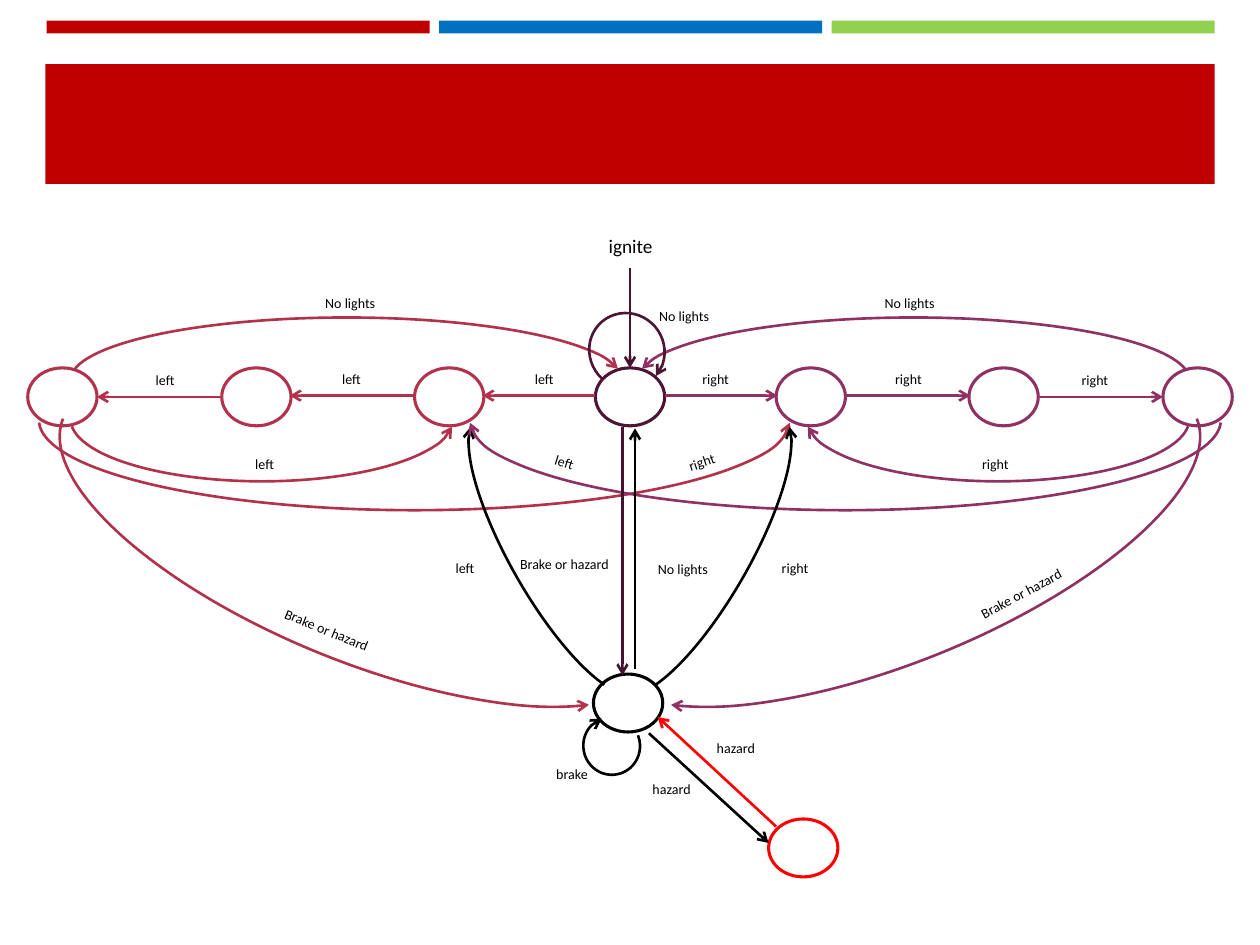
from lxml import etree
from pptx import Presentation
from pptx import util as u
from pptx.dml.color import RGBColor
from pptx.enum import shapes, text
from pptx.oxml.ns import qn

BLACK = RGBColor(0x00, 0x00, 0x00)
WHITE = RGBColor(0xFF, 0xFF, 0xFF)
RED = RGBColor(0xFF, 0x00, 0x00)
BAND_RED = RGBColor(0xC0, 0x00, 0x00)
BAND_BLUE = RGBColor(0x00, 0x70, 0xC0)
BAND_GREEN = RGBColor(0x92, 0xD0, 0x50)
CRIMSON = RGBColor(0xB2, 0x32, 0x4B)
PURPLE = RGBColor(0x90, 0x31, 0x63)
PLUM = RGBColor(0x4D, 0x14, 0x34)
DARK_PLUM = RGBColor(0x45, 0x12, 0x2F)

WIDTH, HEIGHT = 10, 7.5
NODE_W, NODE_H = 0.55, 0.46
LABEL_W, LABEL_H = 0.98, 0.34


def write_text(tf, words, size=8, color=BLACK, font="Calibri"):
    tf.word_wrap = True
    p = tf.paragraphs[0]
    p.alignment = text.PP_ALIGN.CENTER
    p.line_spacing = 1.15
    p.space_after = u.Pt(10)
    r = p.add_run()
    r.text = words
    r.font.size = u.Pt(size)
    r.font.name = font
    r.font.color.rgb = color


class Diagram:
    """State diagram elements on the current slide."""
    node_line, edge_line = 1.75, 1.5

    def __init__(self, slide):
        self.shapes = slide.shapes

    def shape(self, kind, x, y, w, h, fill=None, line=None, weight=1.5):
        sp = self.shapes.add_shape(kind, *map(u.Inches, (x, y, w, h)))
        sp.shadow.inherit = False
        if fill is None:
            sp.fill.background()
        else:
            sp.fill.solid()
            sp.fill.fore_color.rgb = fill
        if line is None:
            sp.line.fill.background()
        else:
            sp.line.color.rgb = line
            sp.line.width = u.Pt(weight)
        return sp

    def band(self, x, y, w, h, color):
        self.shape(shapes.MSO_SHAPE.RECTANGLE, x, y, w, h, fill=color)

    def node(self, x, y, color):
        self.shape(shapes.MSO_SHAPE.OVAL, x, y, NODE_W, NODE_H,
                   fill=WHITE, line=color, weight=self.node_line)

    def arrowhead(self, sp):
        ln = sp.line._get_or_add_ln()
        etree.SubElement(ln, qn("a:tailEnd")).set("type", "arrow")

    def arrow(self, x1, y1, x2, y2, color):
        cx = self.shapes.add_connector(
            shapes.MSO_CONNECTOR.STRAIGHT, *map(u.Inches, (x1, y1, x2, y2)))
        cx.line.color.rgb = color
        cx.line.width = u.Pt(self.edge_line)
        self.arrowhead(cx)
        etree.SubElement(cx._element.spPr, qn("a:effectLst"))

    def arc(self, x, y, w, h, start, end, color, rot=0, flip=""):
        """Draw an arc with an arrowhead; start and end are in degrees."""
        sp = self.shape(shapes.MSO_SHAPE.ARC, x, y, w, h, line=color,
                        weight=self.edge_line)
        sp.adjustments[0] = start * 0.6
        sp.adjustments[1] = end * 0.6
        sp.rotation = rot
        xfrm = sp._element.spPr.find(qn("a:xfrm"))
        for axis in flip:
            xfrm.set("flip" + axis.upper(), "1")
        self.arrowhead(sp)

    def label(self, words, x, y, w=LABEL_W, h=LABEL_H, rot=0, **style):
        tb = self.shapes.add_textbox(*map(u.Inches, (x, y, w, h)))
        tb.rotation = rot
        write_text(tb.text_frame, words, **style)


prs = Presentation()
prs.slide_width, prs.slide_height = u.Inches(WIDTH), u.Inches(HEIGHT)
d = Diagram(prs.slides.add_slide(prs.slide_layouts[6]))

# Header bands
for i, color in enumerate((BAND_RED, BAND_BLUE, BAND_GREEN)):
    d.band(0.37 + 3.115 * i, 0.165, 3.04, 0.1, color)
d.band(0.36, 0.51, 9.28, 0.95, BAND_RED)

# Ignition, idle, brake and hazard states
d.node(4.71, 5.35, BLACK)
d.node(6.1, 6.5, RED)
d.node(4.725, 2.92, PLUM)
d.arrow(5, 2.13, 5, 2.92, DARK_PLUM)
d.label("ignite", 4.63, 1.78, w=0.75, size=11)

# Turn signals: the right side mirrors the left
for mirrored, color, turn, opposite in ((False, CRIMSON, "left", "right"),
                                        (True, PURPLE, "right", "left")):
    def place(x, w=0):
        return WIDTH - x - w if mirrored else x

    def side_arc(x, y, w, h, start, end, line=color, rot=0, flip=""):
        if mirrored:
            rot = (360 - rot) % 360
            flip = flip.replace("h", "") if "h" in flip else "h" + flip
        d.arc(place(x, w), y, w, h, start, end, line, rot, flip)

    # Row of states
    for x in (0.22, 1.76, 3.29):
        d.node(place(x, NODE_W), 2.92, color)
    for x1, x2, y, label_x in ((4.72, 3.83, 3.14, 3.83),
                               (3.28, 2.3, 3.14, 2.3),
                               (1.75, 0.77, 3.15, 0.82)):
        d.arrow(place(x1), y, place(x2), y, color)
        d.label(turn, place(label_x, LABEL_W), y - 0.27)

    # Return arcs
    side_arc(0.56, 2.52, 4.38, 0.99, 182.21, 357.64)
    d.label("No lights", place(2.29, LABEL_W), 2.27)
    side_arc(0.56, 2.83, 3.04, 0.99, 182.21, 357.64, flip="v")
    d.label(turn, place(1.61, LABEL_W), 3.55)

    # Arc across to the opposite signal
    side_arc(0.31, 2.62, 5.96, 1.43, 180.37, 359.59, flip="v")
    d.label(opposite, 3.98 if mirrored else 5.09, 3.53,
            rot=17.3 if mirrored else 341.5)

    # Arcs to and from the brake state
    side_arc(0.31, 3.34, 5.15, 1.91, 180.02, 346.2, rot=22.2, flip="v")
    side_arc(3.16, 4.03, 2.53, 0.74, 190, 355.43, BLACK, 60.2, "hv")
    d.label(turn, place(3.2, LABEL_W), 4.37)

d.label("Brake or hazard", 1.92, 4.86, w=1.32, rot=22.3)
d.label("Brake or hazard", 7.5, 4.57, w=1.24, rot=331.9)

# Idle to brake and back
d.arrow(4.94, 3.39, 4.94, 5.36, DARK_PLUM)
d.arrow(5.04, 5.31, 5.04, 3.4, BLACK)
d.label("Brake or hazard", 3.99, 4.34, h=0.48)
d.label("No lights", 4.93, 4.38)

# Brake to hazard and back
d.arrow(6.16, 6.56, 5.22, 5.69, RED)
d.arrow(5.15, 5.82, 6.1, 6.69, BLACK)
d.label("hazard", 5.35, 5.8)
d.label("hazard", 4.84, 6.13)

# Self loops
d.arc(4.63, 5.69, 0.45, 0.46, 349.18, 261.01, BLACK, rot=348.9)
d.label("brake", 4.05, 6.01)
d.arc(4.68, 2.48, 0.59, 0.61, 349.18, 261.01, PLUM, rot=139.7)
d.label("No lights", 4.94, 2.37)

prs.save("out.pptx")
